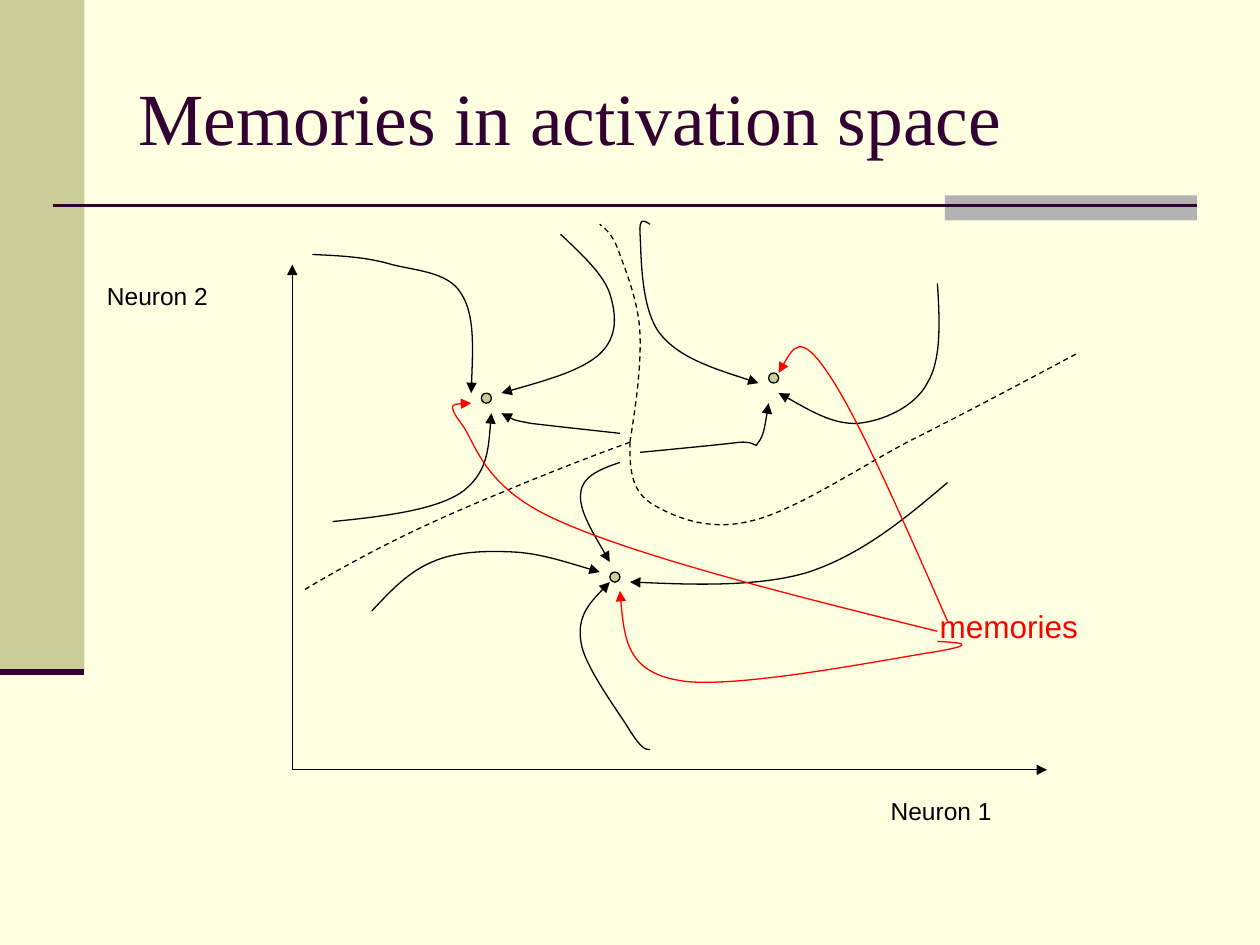
from lxml import etree
from pptx import Presentation
from pptx.dml.color import RGBColor
from pptx.enum.dml import MSO_LINE
from pptx.enum.shapes import MSO_CONNECTOR, MSO_SHAPE
from pptx.enum.text import MSO_ANCHOR
from pptx.oxml.ns import qn
from pptx.util import Pt

PX = 9144  # EMU per px, 100 px to the inch
RECT, OVAL = MSO_SHAPE.RECTANGLE, MSO_SHAPE.OVAL
STRAIGHT = MSO_CONNECTOR.STRAIGHT
DASH = MSO_LINE.DASH
MIDDLE, TOP = MSO_ANCHOR.MIDDLE, MSO_ANCHOR.TOP

THEME = {
    "paper": "FFFFE1", "olive": "CCCC99", "grey": "B2B2B2",
    "plum": "330033", "ink": "000000", "red": "FF0000",
    "title_font": "Times New Roman", "body_font": "Arial",
    "title": 42, "axis": 14, "label": 18, "hairline": 0.75,
}


def rgb(name):
    return RGBColor.from_string(THEME[name])


def style_line(sp, color, width=THEME["hairline"], arrow=False, dash=None):
    """Colour an outline; an arrow goes on its far end."""
    sp.line.color.rgb = rgb(color)
    sp.line.width = Pt(width)
    if dash:
        sp.line.dash_style = dash
    if arrow:
        etree.SubElement(sp.line._get_or_add_ln(), qn("a:tailEnd"), type="triangle")


prs = Presentation()
prs.slide_width, prs.slide_height = 1000 * PX, 750 * PX
s = prs.slides.add_slide(prs.slide_layouts[6])
s.background.fill.solid()
s.background.fill.fore_color.rgb = rgb("paper")

# Side bar, accent bar and the three memory points
for kind, x, y, w, h, fill, outlined in [
    (RECT, 0, 0, 67, 533, "olive", False),
    (RECT, 750, 155, 200, 20, "grey", False),
    (OVAL, 382, 312, 8, 8, "olive", True),
    (OVAL, 484, 454, 8, 8, "olive", True),
    (OVAL, 610, 296, 8, 8, "olive", True),
]:
    sp = s.shapes.add_shape(kind, x * PX, y * PX, w * PX, h * PX)
    sp.shadow.inherit = False
    sp.fill.solid()
    sp.fill.fore_color.rgb = rgb(fill)
    if outlined:
        style_line(sp, "ink")
    else:
        sp.line.fill.background()

# Rules, then the two axes
for x1, y1, x2, y2, color, width, arrow in [
    (42, 163, 950, 163, "plum", 1.5, False),
    (0, 533, 67, 533, "plum", 3.5, False),
    (232, 611, 831, 611, "ink", THEME["hairline"], True),
    (232, 611, 232, 210, "ink", THEME["hairline"], True),
]:
    line = s.shapes.add_connector(STRAIGHT, x1 * PX, y1 * PX, x2 * PX, y2 * PX)
    style_line(line, color, width, arrow)
    etree.SubElement(line._element.spPr, qn("a:effectLst"))

# Each curve: a start point, then three points per cubic segment
trajectories = [
    [(445, 186), (462, 202), (479, 218), (484, 233), (489, 249), (491, 267), (476, 281),
     (462, 294), (430, 303), (398, 312)],
    [(248, 202), (270, 203), (291, 204), (311, 210), (331, 215), (356, 216), (366, 233),
     (377, 250), (375, 281), (374, 312)],
    [(295, 485), (310, 469), (324, 454), (343, 446), (361, 438), (383, 437), (406, 438),
     (428, 439), (452, 447), (476, 454)],
    [(264, 414), (304, 410), (345, 405), (366, 391), (387, 376), (388, 352), (390, 328)],
    [(516, 595), (512, 595), (509, 594), (500, 580), (491, 565), (463, 528), (461, 509),
     (458, 489), (471, 475), (484, 462)],
    [(516, 178), (511, 175), (507, 172), (508, 186), (509, 200), (508, 245), (524, 265),
     (539, 284), (571, 294), (602, 304)],
    [(492, 344), (465, 341), (437, 338), (421, 336), (405, 333), (401, 330), (398, 328)],
    [(492, 367), (477, 372), (462, 378), (461, 391), (459, 404), (472, 425), (484, 446)],
    [(508, 359), (539, 356), (571, 353), (587, 351), (602, 350), (598, 357), (602, 351),
     (606, 346), (608, 333), (610, 320)],
    [(752, 383), (718, 412), (684, 440), (642, 454), (600, 467), (529, 463), (500, 462)],
    [(744, 225), (746, 256), (747, 286), (736, 304), (726, 323), (701, 334), (681, 336),
     (661, 337), (640, 324), (618, 312)],
]
boundaries = [
    [(500, 351), (464, 364), (429, 378), (398, 391), (366, 404), (337, 417), (311, 430),
     (285, 443), (262, 456), (240, 469)],
    [(500, 351), (505, 320), (509, 290), (508, 265), (507, 240), (497, 216), (492, 202),
     (487, 187), (482, 183), (476, 178)],
    [(500, 351), (500, 370), (500, 388), (516, 399), (532, 409), (560, 422), (594, 414),
     (628, 407), (677, 374), (720, 351), (764, 329), (809, 305), (854, 281)],
]
pointers = [
    [(752, 493), (716, 411), (680, 329), (657, 296), (635, 263), (627, 280), (618, 296)],
    [(744, 501), (626, 472), (508, 442), (445, 414), (382, 387), (378, 351), (366, 336),
     (354, 320), (364, 320), (374, 320)],
    [(744, 509), (761, 510), (778, 511), (744, 517), (710, 522), (581, 548), (539, 540),
     (497, 533), (495, 501), (492, 469)],
]
for curves, color, arrow, dash in [
    (trajectories, "ink", True, None),
    (boundaries, "ink", False, DASH),
    (pointers, "red", True, None),
]:
    for points in curves:
        builder = s.shapes.build_freeform(*points[0], scale=PX)
        builder.add_line_segments(points[1:], close=False)
        sp = builder.convert_to_shape()
        # Turn every three straight segments into one cubic curve
        outline = sp._element.find(".//" + qn("a:path"))
        steps = outline.findall(qn("a:lnTo"))
        for i in range(0, len(steps), 3):
            cubic = etree.SubElement(outline, qn("a:cubicBezTo"))
            for step in steps[i:i + 3]:
                cubic.append(step[0])
                outline.remove(step)
        sp.shadow.inherit = False
        sp.fill.background()
        style_line(sp, color, arrow=arrow, dash=dash)

for text, x, y, w, h, size, font, color, anchor in [
    ("Memories in activation space", 100, 30, 850, 125, "title", "title_font", "plum", MIDDLE),
    ("Neuron 1", 697, 627, 142, 34, "axis", "body_font", "ink", TOP),
    ("Neuron 2", 75, 218, 142, 34, "axis", "body_font", "ink", TOP),
    ("memories", 736, 477, 134, 40, "label", "body_font", "red", TOP),
]:
    tf = s.shapes.add_textbox(x * PX, y * PX, w * PX, h * PX).text_frame
    tf.word_wrap = True
    tf.vertical_anchor = anchor
    tf.text = text
    r = tf.paragraphs[0].runs[0]
    r.font.name = THEME[font]
    r.font.size = Pt(THEME[size])
    r.font.color.rgb = rgb(color)

prs.save("out.pptx")
